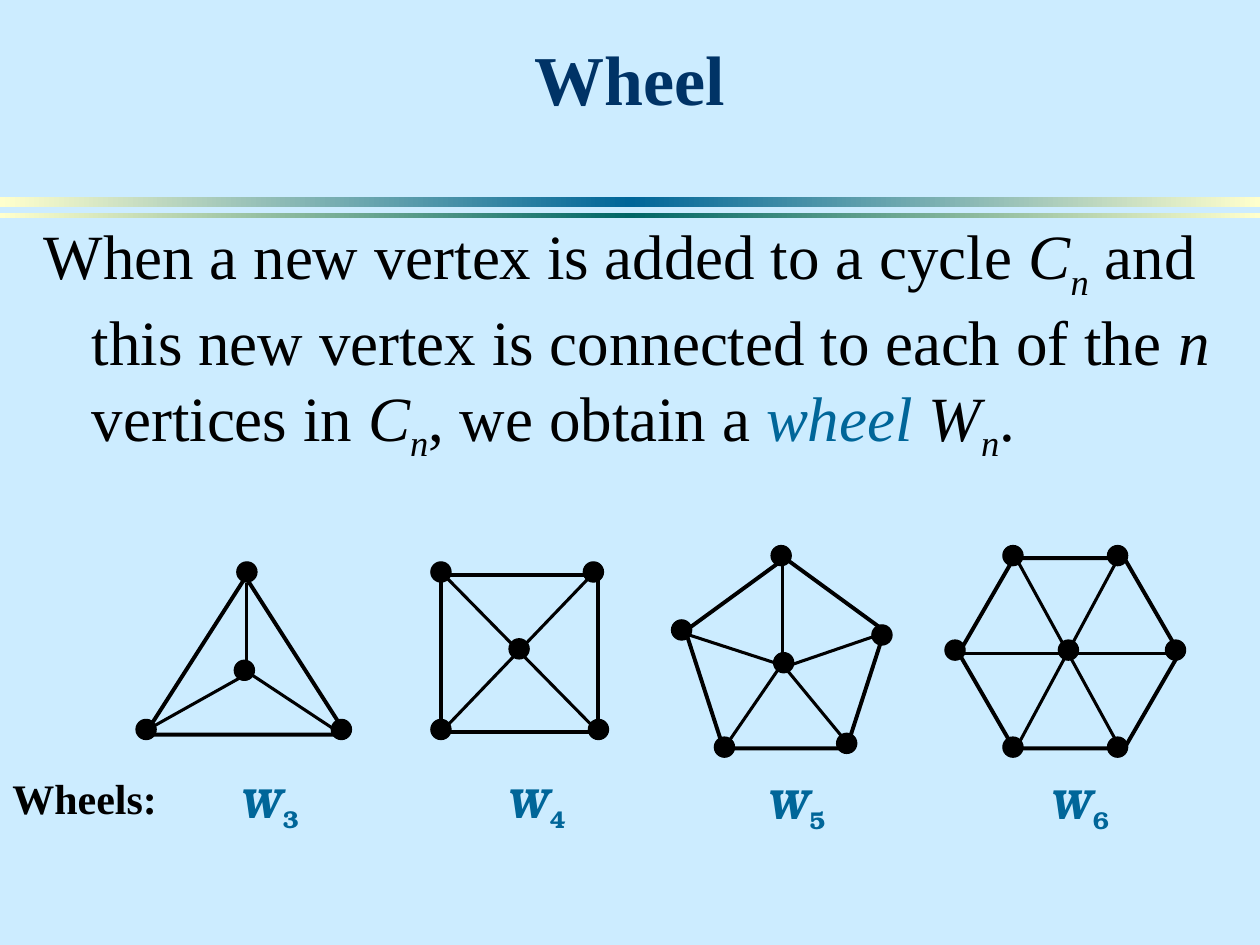
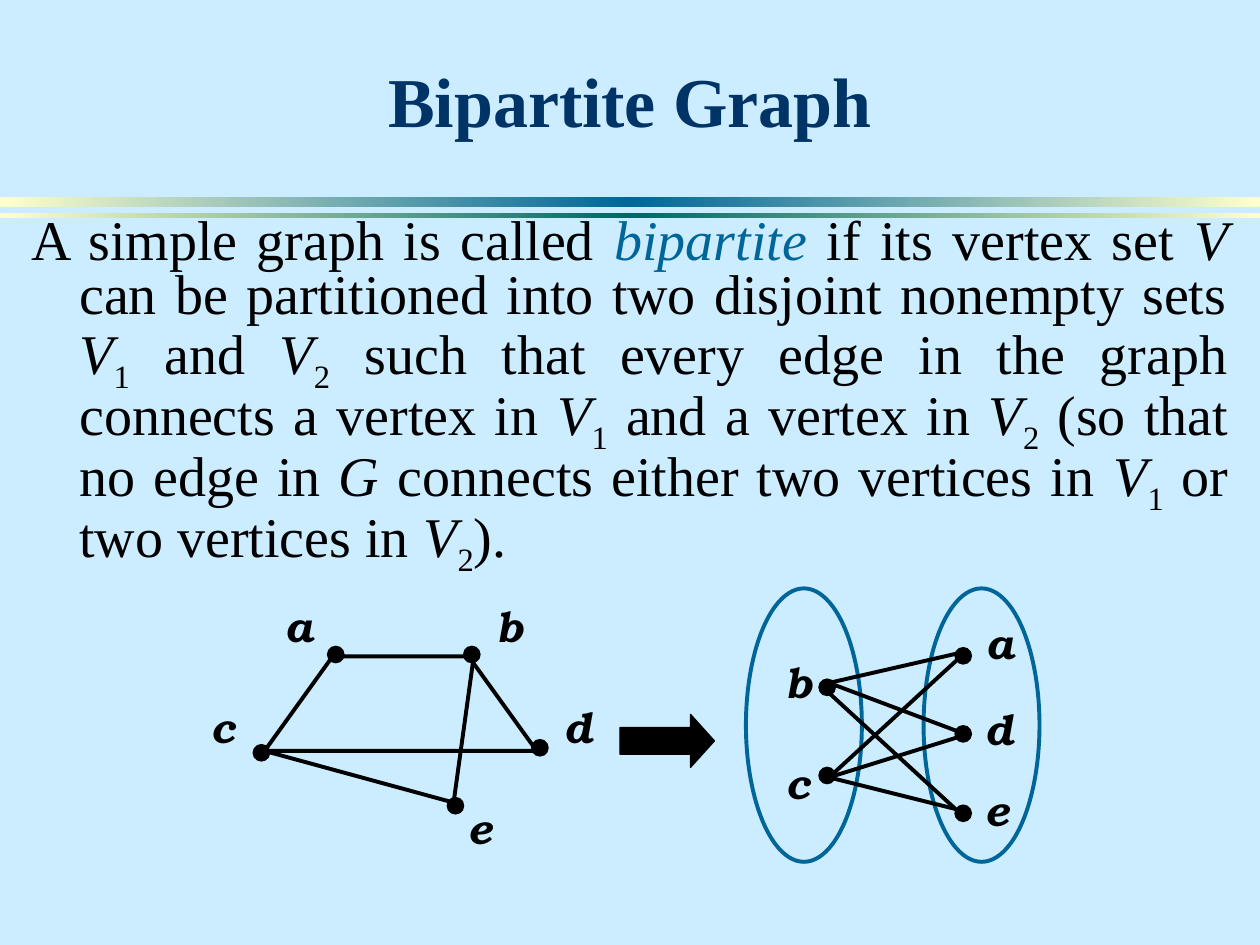
from dataclasses import dataclass

from pptx import Presentation
from pptx.dml.color import RGBColor as Rgb
from pptx.enum.shapes import MSO_CONNECTOR as Link, MSO_SHAPE as Kind
from pptx.enum.text import MSO_ANCHOR as Anchor, PP_ALIGN as Align
from pptx.oxml import parse_xml
from pptx.oxml.ns import nsdecls, qn
from pptx.util import Emu, Pt

SCALE = 9144  # EMU in one px, 100 px to the inch


@dataclass(frozen=True)
class Theme:
    back: str = "CCECFF"
    ink: str = "000000"
    title: str = "003366"
    accent: str = "006699"
    teal: str = "006666"
    cream: str = "FFFFCC"
    serif: str = "Times New Roman"
    math: str = "TeX Gyre Bonum"
    head: int = 40
    large: int = 36
    body: int = 32
    label: int = 24
    thick: float = 2.25
    thin: float = 1.75
    rim: float = 0.75


def px(*sizes):
    return [Emu(size * SCALE) for size in sizes]


def write(para, text, font, size, color, accent, bold=False, italic=False):
    """Add runs; a part is a string or (string, marks): i italic, s subscript, a accent, r upright."""
    for part in [text] if isinstance(text, str) else text:
        words, marks = (part, "") if isinstance(part, str) else part
        run = para.add_run()
        run.text = words
        face = run.font
        face.name, face.size, face.bold = font, Pt(size), bold
        face.italic = (italic or "i" in marks) and "r" not in marks
        face.color.rgb = Rgb.from_string(accent if "a" in marks else color)
        if "s" in marks:
            face._element.set("baseline", "-25000")


class Deck:
    def __init__(self, theme):
        self.theme = theme
        self.file = Presentation()
        self.file.slide_width, self.file.slide_height = px(1000, 750)
        fill = self.file.slide_master.background.fill
        fill.solid()
        fill.fore_color.rgb = Rgb.from_string(theme.back)

    def page(self, title, depth):
        """Start a slide with its two bands and its title."""
        look = self.theme
        self.slide = self.file.slides.add_slide(self.file.slide_layouts[6])
        self.band(156, 8, look.accent)
        self.band(169, 4, look.teal)
        self.text(title, 50, 17, 900, depth, size=look.head, color=look.title,
                  bold=True, align=Align.CENTER, anchor=Anchor.BOTTOM)

    def band(self, top, high, mid):
        bar = self.shape(Kind.RECTANGLE, 0, top, 1000, high, line=None)
        edge = self.theme.cream
        stops = "".join(f'<a:gs pos="{pos}"><a:srgbClr val="{tone}"/></a:gs>'
                        for pos, tone in ((0, edge), (50000, mid), (100000, edge)))
        grad = parse_xml(f'<a:gradFill {nsdecls("a")} rotWithShape="1"><a:gsLst>{stops}'
                         '</a:gsLst><a:lin ang="0" scaled="1"/></a:gradFill>')
        props = bar._element.spPr
        props.replace(props.find(qn("a:noFill")), grad)

    def text(self, text, left, top, wide, high, inset=(10, 5), align=Align.LEFT,
             anchor=Anchor.TOP, hang=0, space=None, font=None, size=None,
             color=None, **style):
        look = self.theme
        frame = self.slide.shapes.add_textbox(*px(left, top, wide, high)).text_frame
        frame.word_wrap = True
        frame.vertical_anchor = anchor
        frame.margin_left = frame.margin_right = px(inset[0])[0]
        frame.margin_top = frame.margin_bottom = px(inset[1])[0]
        para = frame.paragraphs[0]
        para.alignment = align
        if space:
            para.line_spacing = space
        if hang:
            props = para._p.get_or_add_pPr()
            props.set("marL", str(hang * SCALE))
            props.set("indent", str(-hang * SCALE))
        write(para, text, font or look.serif, size or look.label,
              color or look.ink, look.accent, **style)

    def label(self, text, left, top, wide=40, **style):
        self.text(text, left, top, wide, 40, inset=(0, 0), font=self.theme.math,
                  bold=True, italic=True, **style)

    def paint(self, item, fill, line, width):
        item.shadow.inherit = False
        if fill:
            item.fill.solid()
            item.fill.fore_color.rgb = Rgb.from_string(fill)
        else:
            item.fill.background()
        if line:
            item.line.color.rgb = Rgb.from_string(line)
            item.line.width = Pt(width)
        else:
            item.line.fill.background()

    def shape(self, kind, left, top, wide, high, fill=None, line=Theme.ink,
              width=Theme.thick, bend=()):
        item = self.slide.shapes.add_shape(kind, *px(left, top, wide, high))
        for spot, value in enumerate(bend):
            item.adjustments[spot] = value
        self.paint(item, fill, line, width)
        return item

    def dots(self, spots, size):
        look = self.theme
        for left, top in spots:
            self.shape(Kind.OVAL, left, top, size, size, fill=look.ink, width=look.rim)

    def loop(self, spots):
        pen = self.slide.shapes.build_freeform(*spots[0], scale=SCALE)
        pen.add_line_segments(spots[1:], close=True)
        self.paint(pen.convert_to_shape(), None, self.theme.ink, self.theme.thick)

    def lines(self, ends, width):
        for tail, tip in ends:
            item = self.slide.shapes.add_connector(Link.STRAIGHT, *px(*tail, *tip))
            item.line.color.rgb = Rgb.from_string(self.theme.ink)
            item.line.width = Pt(width)
            item._element.spPr.append(parse_xml(f'<a:effectLst {nsdecls("a")}/>'))


# Each wheel: order, rim shape, rim box, bend, vertices (hub last), spokes, label corner
WHEELS = [
    (3, Kind.ISOSCELES_TRIANGLE, (115, 458, 160, 125), (),
     [(108, 571), (188, 446), (263, 571), (186, 524)],
     [((196, 463), (196, 529)), ((194, 536), (119, 578)), ((199, 535), (264, 578))],
     (191, 616)),
    (4, Kind.RECTANGLE, (350, 456, 125, 125), (),
     [(342, 571), (342, 446), (463, 446), (467, 571), (404, 507)],
     [((468, 458), (353, 578)), ((354, 458), (472, 578))],
     (403, 616)),
    (5, Kind.REGULAR_PENTAGON, (544, 443, 158, 151), (),
     [(612, 433), (692, 496), (664, 582), (567, 585), (533, 492), (614, 518)],
     [((621, 446), (621, 522)), ((624, 531), (671, 588)), ((544, 503), (621, 528)),
      ((622, 525), (576, 592)), ((624, 529), (697, 504))],
     (609, 617)),
    (6, Kind.HEXAGON, (761, 443, 175, 151), (0.289,),
     [(925, 508), (879, 433), (879, 585), (796, 585), (750, 508), (796, 433), (840, 508)],
     [((807, 444), (888, 592)), ((887, 444), (807, 593)), ((927, 519), (762, 519))],
     (834, 617)),
]


def wheel(deck):
    look = deck.theme
    deck.page("Wheel", 83)
    cycle = [("C", "i"), ("n", "is")]
    deck.text(["When a new vertex is added to a cycle ", *cycle,
               " and this new vertex is connected to each of the ", ("n", "i"),
               " vertices in ", *cycle, ", we obtain a ", ("wheel ", "ia"),
               ("W", "i"), ("n", "is"), "."],
              25, 167, 950, 217, size=look.large, hang=38)
    for order, kind, box, bend, spots, spokes, corner in WHEELS:
        deck.shape(kind, *box, bend=bend)
        deck.lines(spokes, look.thin)
        deck.dots(spots, 16)
        deck.label(["W", (str(order), "sr")], *corner, wide=66, color=look.accent)
    deck.text("Wheels:", 0, 608, 150, 50, bold=True)


def bipartite(deck):
    look = deck.theme
    deck.page("Bipartite Graph", 100)
    one, two = ([("V", "i"), (digit, "s")] for digit in "12")
    deck.text(["A simple graph is called ", ("bipartite", "ia"), " if its vertex set ",
               ("V", "i"), " can be partitioned into two disjoint nonempty sets ", *one,
               " and ", *two, " such that every edge in the graph connects a vertex in ",
               *one, " and a vertex in ", *two, " (so that no edge in ", ("G", "i"),
               " connects either two vertices in ", *one, " or two vertices in ", *two,
               ")."],
              25, 168, 950, 317, size=look.body, hang=38, inset=(0, 5),
              align=Align.JUSTIFY, space=0.8)

    # Graph as given
    deck.loop([(210, 596), (264, 521), (372, 521), (426, 596)])
    deck.lines([((376, 521), (360, 637)), ((360, 637), (210, 596))], look.thick)
    deck.dots([(260, 513), (368, 513), (201, 591), (422, 587), (355, 633)], 13)

    deck.shape(Kind.RIGHT_ARROW, 492, 567, 75, 42, fill=look.ink, width=look.rim,
               bend=(0.5, 0.45))

    # Same graph split in two vertex sets
    for left in (592, 733):
        deck.shape(Kind.OVAL, left, 467, 92, 217, line=look.accent)
    deck.dots([(650, 539), (650, 609), (758, 514), (758, 576), (758, 639)], 13)
    b, c, a, d = (658, 542), (658, 617), (767, 517), (767, 583)
    deck.lines([(b, a), (b, d), ((658, 550), (767, 650)),
                (c, a), (c, d), (c, (758, 642))], look.thick)

    # Vertex names
    for name, left, top in [("a", 226, 477), ("b", 395, 477), ("c", 168, 557),
                            ("d", 448, 557), ("e", 372, 637),
                            ("b", 624, 521), ("c", 624, 601),
                            ("a", 782, 490), ("d", 782, 558), ("e", 782, 623)]:
        deck.label(name, left, top)


def main():
    deck = Deck(Theme())
    wheel(deck)
    bipartite(deck)
    deck.file.save("out.pptx")


if __name__ == "__main__":
    main()
